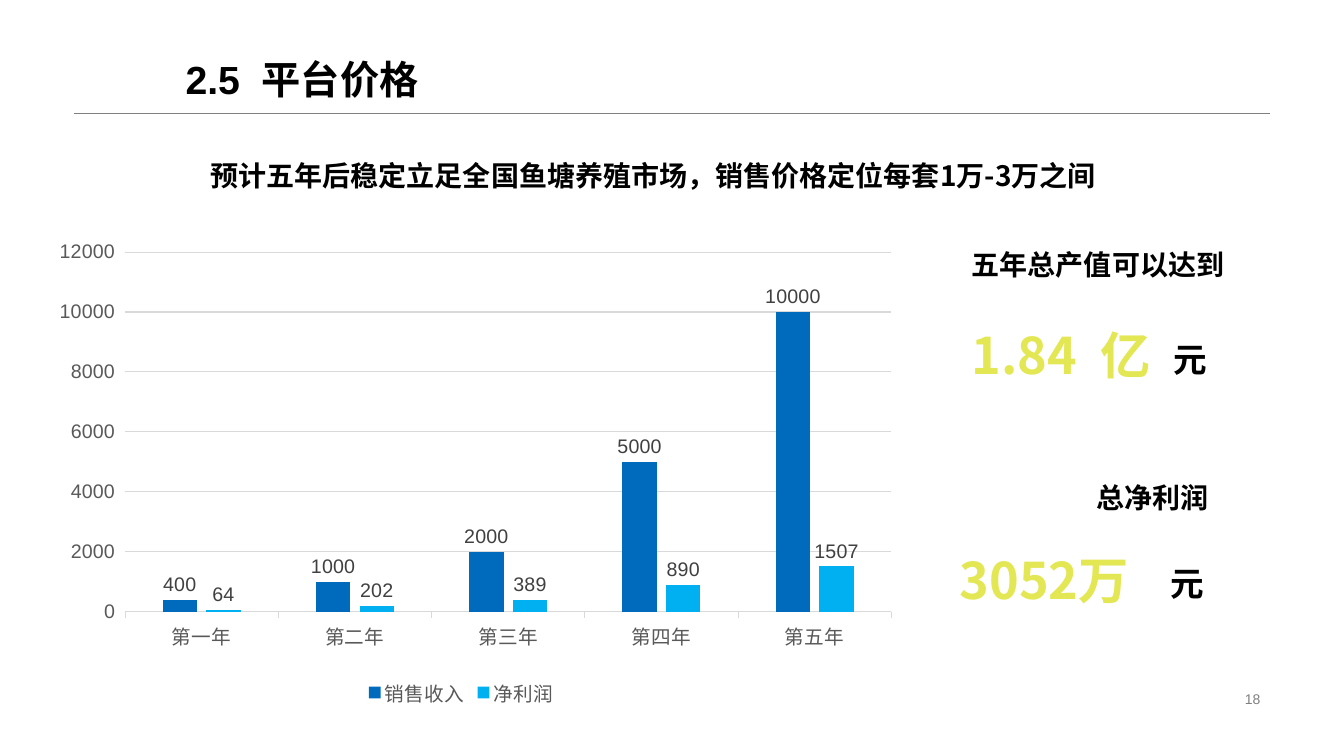
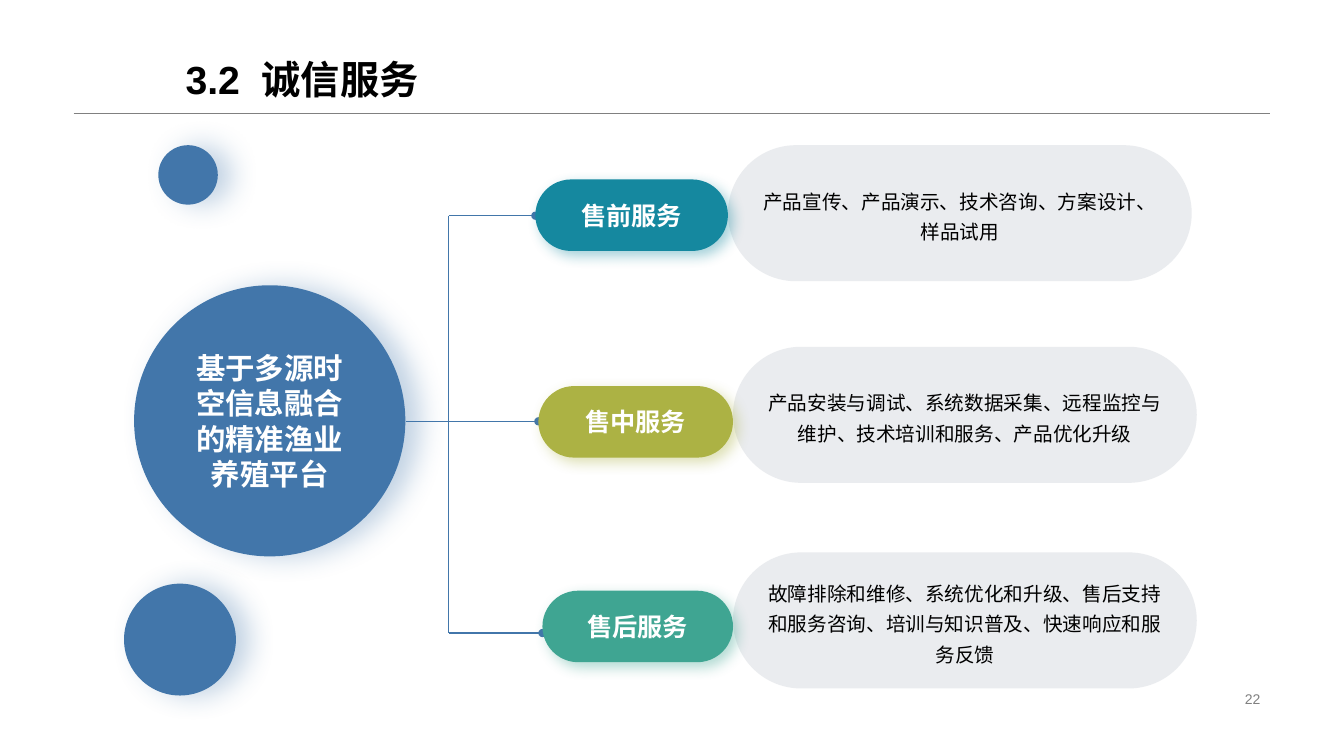
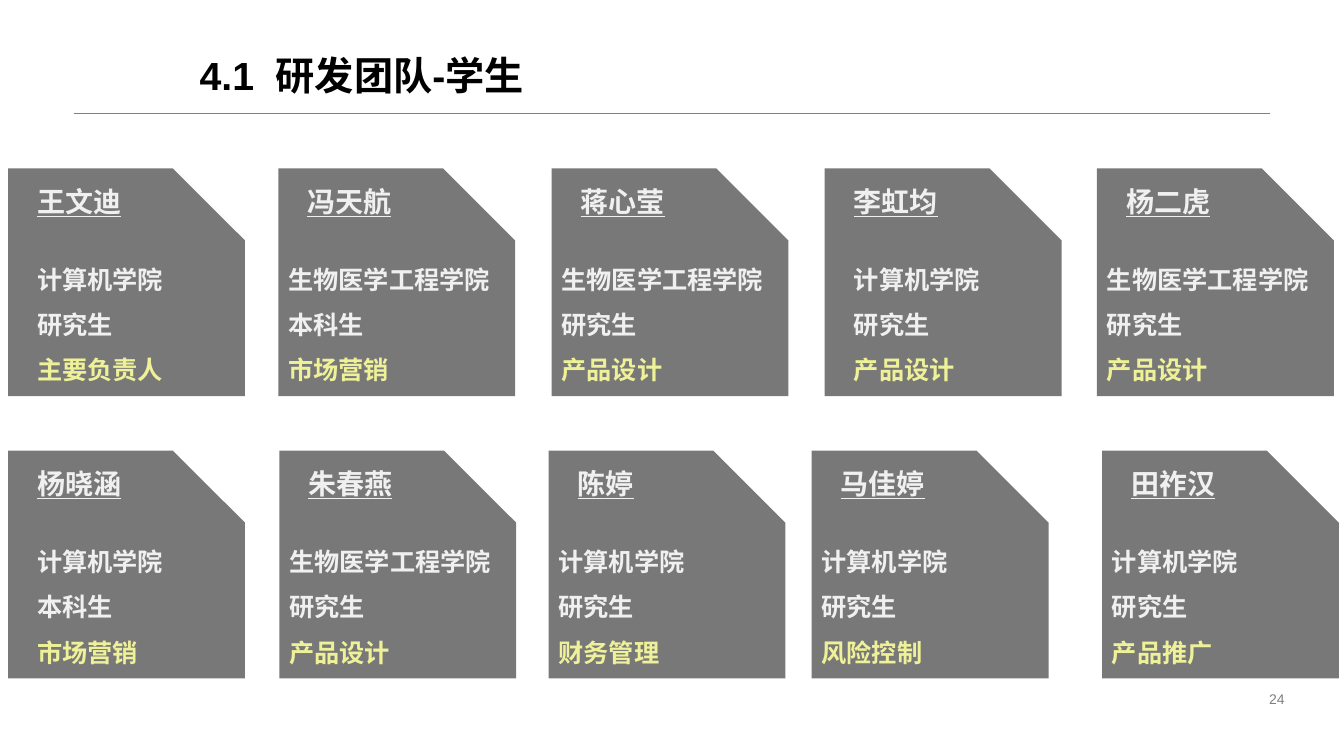
from dataclasses import dataclass
from typing import Optional

from pptx import Presentation
from pptx.chart.data import CategoryChartData
from pptx.dml.color import RGBColor
from pptx.enum.chart import XL_CHART_TYPE as CT, XL_LABEL_POSITION as LP
from pptx.enum.chart import XL_LEGEND_POSITION as LEG, XL_TICK_MARK as TM
from pptx.enum.shapes import MSO_CONNECTOR as CONN, MSO_SHAPE as SHP
from pptx.enum.text import MSO_ANCHOR as ANC, MSO_AUTO_SIZE as AUTO, PP_ALIGN as AL
from pptx.oxml import parse_xml
from pptx.oxml.ns import nsdecls, qn
from pptx.util import Inches, Pt

# Shared colours and fonts
BLACK = RGBColor(0x00, 0x00, 0x00)
WHITE = RGBColor(0xFF, 0xFF, 0xFF)
GREY = RGBColor(0x80, 0x80, 0x80)
AXIS_GREY = RGBColor(0x59, 0x59, 0x59)
LABEL_GREY = RGBColor(0x40, 0x40, 0x40)
GRID_GREY = RGBColor(0xD9, 0xD9, 0xD9)
REVENUE_BLUE = RGBColor(0x00, 0x6B, 0xBC)
PROFIT_BLUE = RGBColor(0x00, 0xB0, 0xF0)
YELLOW = RGBColor(0xE3, 0xE7, 0x53)
BLUE = RGBColor(0x42, 0x76, 0xAA)
TEAL = RGBColor(0x15, 0x88, 0x9F)
OLIVE = RGBColor(0xAC, 0xB2, 0x44)
GREEN = RGBColor(0x3F, 0xA5, 0x92)
SLATE = RGBColor(0x76, 0x83, 0x94)
CARD_GREY = RGBColor(0x78, 0x78, 0x78)
CARD_TEXT = RGBColor(0xF0, 0xF0, 0xF0)
CARD_ROLE = RGBColor(0xEE, 0xF1, 0x98)
ARIAL = "Arial"
NOTO = "Noto Sans CJK SC"


@dataclass
class Style:
    size: float
    color: RGBColor = BLACK
    font: str = NOTO
    bold: bool = True
    underline: bool = False


@dataclass
class Shadow:
    alpha: int
    blur: float
    dist: float
    angle: int


@dataclass
class Note:
    text: str
    left: float
    top: float
    width: float
    height: float
    style: Style
    suffix: str = ""


@dataclass
class Service:
    name: str
    detail: str
    color: RGBColor
    left: float
    top: float
    right: float
    line_y: float
    detail_top: float


@dataclass
class Member:
    left: float
    name: str
    college: str
    degree: str
    role: str
    indent: float = 0


TITLE = Style(28, font=ARIAL)
PAGE = Style(10, GREY, ARIAL, bold=False)
NOTE = Style(20)
UNIT = Style(24)
FIGURE = Style(36, YELLOW)
HUB = Style(21, WHITE, ARIAL)
SERVICE = Style(18, WHITE, ARIAL)
DETAIL = Style(14, BLACK, ARIAL, bold=False)
MEMBER = Style(20, CARD_TEXT, underline=True)
INFO = Style(18, CARD_TEXT)
ROLE = Style(18, CARD_ROLE)
GLOW = Shadow(32, 20, 10, 0)
DROP = Shadow(40, 10, 5, 45)


# Text helpers
def add_run(p, text: str, style: Style, spacing: float = 0) -> None:
    r = p.add_run()
    r.text = text
    f = r.font
    f.size, f.bold, f.name = Pt(style.size), style.bold, style.font
    f.color.rgb = style.color
    if style.underline:
        f.underline = True
    rpr = r._r.get_or_add_rPr()
    rpr.append(parse_xml(f'<a:ea {nsdecls("a")} typeface="{NOTO}"/>'))
    if spacing:
        rpr.set("spc", str(int(spacing * 100)))


def add_pair(p, first: str, second: str, style: Style, gap: float) -> None:
    """Two words with a widened space between them."""
    add_run(p, first, style)
    add_run(p, " ", style, gap)
    add_run(p, second, style)


def add_text(slide, left: float, top: float, width: float, height: float):
    tf = slide.shapes.add_textbox(Inches(left), Inches(top), Inches(width), Inches(height)).text_frame
    tf.word_wrap = True
    return tf


# Shape helpers
def add_shape(slide, kind, left: float, top: float, width: float, height: float, color: RGBColor,
              adj: Optional[float] = None, alpha: int = 100, shadow: Optional[Shadow] = None):
    sp = slide.shapes.add_shape(kind, Inches(left), Inches(top), Inches(width), Inches(height))
    if adj is not None:
        sp.adjustments[0] = adj
    sp.fill.solid()
    sp.fill.fore_color.rgb = color
    sp.line.fill.background()
    sp.shadow.inherit = False
    if alpha < 100:
        clr = next(sp.element.iter(qn("a:srgbClr")))
        clr.append(parse_xml(f'<a:alpha {nsdecls("a")} val="{alpha * 1000}"/>'))
    if shadow:
        next(sp.element.iter(qn("a:effectLst"))).append(parse_xml(
            f'<a:outerShdw {nsdecls("a")} blurRad="{Pt(shadow.blur)}" dist="{Pt(shadow.dist)}" '
            f'dir="{shadow.angle * 60000}" algn="ctr" rotWithShape="0"><a:srgbClr val="{color}">'
            f'<a:alpha val="{shadow.alpha * 1000}"/></a:srgbClr></a:outerShdw>'))
    return sp


def label_shape(sp, text: str, style: Style, spacing: Optional[float] = None) -> None:
    tf = sp.text_frame
    tf.word_wrap = True
    tf.vertical_anchor = ANC.MIDDLE
    p = tf.paragraphs[0]
    p.alignment = AL.CENTER
    if spacing:
        p.line_spacing = spacing
    add_run(p, text, style)


def add_line(slide, x1: float, y1: float, x2: float, y2: float, color: RGBColor,
             width: float, dot: bool = False) -> None:
    cx = slide.shapes.add_connector(CONN.STRAIGHT, Inches(x1), Inches(y1), Inches(x2), Inches(y2))
    cx.line.color.rgb = color
    cx.line.width = Pt(width)
    sppr = cx.element.spPr
    if dot:
        sppr.find(qn("a:ln")).append(parse_xml(f'<a:headEnd {nsdecls("a")} type="oval"/>'))
    sppr.append(parse_xml(f'<a:effectLst {nsdecls("a")}/>'))


# Frame shared by all slides
def add_slide(prs, number: str, name: str, page: str, title_box=(1.74, -0.05, 11.87, 1.12),
              page_left: float = 9.42):
    slide = prs.slides.add_slide(prs.slide_layouts[5])
    add_line(slide, 0.73, 1.12, 12.6, 1.12, GREY, 0.25)
    title = slide.shapes.title
    title.left, title.top, title.width, title.height = map(Inches, title_box)
    tf = title.text_frame
    tf.word_wrap = True
    tf.auto_size = AUTO.NONE
    tf.vertical_anchor = ANC.BOTTOM
    p = tf.paragraphs[0]
    p.alignment = AL.LEFT
    p.line_spacing = 0.9
    add_pair(p, number, name, TITLE, 7.8)
    tf = add_text(slide, page_left, 6.82, 3.18, 0.23)
    tf.vertical_anchor = ANC.MIDDLE
    tf.paragraphs[0].alignment = AL.RIGHT
    add_run(tf.paragraphs[0], page, PAGE)
    return slide


def set_font(font, color: RGBColor) -> None:
    font.size, font.name = Pt(14), ARIAL
    font.color.rgb = color


# Slide: prices
def add_price_chart(slide) -> None:
    data = CategoryChartData()
    data.categories = ["第一年", "第二年", "第三年", "第四年", "第五年"]
    data.add_series("销售收入", (400, 1000, 2000, 5000, 10000))
    data.add_series("净利润", (64, 202, 389, 890, 1507))
    chart = slide.shapes.add_chart(CT.COLUMN_CLUSTERED, Inches(0.3), Inches(2.38),
                                   Inches(8.55), Inches(4.67), data).chart
    set_font(chart.font, BLACK)
    chart.has_title = False
    chart.has_legend = True
    chart.legend.position = LEG.BOTTOM
    chart.legend.include_in_layout = False
    set_font(chart.legend.font, AXIS_GREY)

    cat, val = chart.category_axis, chart.value_axis
    for axis in (cat, val):
        set_font(axis.tick_labels.font, AXIS_GREY)
        axis.major_tick_mark = TM.OUTSIDE
        axis.minor_tick_mark = TM.NONE
    val.minimum_scale, val.maximum_scale, val.major_unit = 0, 12000, 2000
    val.format.line.fill.background()
    for line in (cat.format.line, val.major_gridlines.format.line):
        line.color.rgb = GRID_GREY
        line.width = Pt(0.75)

    plot = chart.plots[0]
    plot.gap_width, plot.overlap = 219, -27
    plot.vary_by_categories = False
    for series, color in zip(plot.series, (REVENUE_BLUE, PROFIT_BLUE)):
        series.format.fill.solid()
        series.format.fill.fore_color.rgb = color
        labels = series.data_labels
        labels.show_value = True
        labels.position = LP.OUTSIDE_END
        set_font(labels.font, LABEL_GREY)

    # Fixed inner plot area
    area = next(chart.element.iter(qn("c:plotArea")))
    for old in area.findall(qn("c:layout")):
        area.remove(old)
    sizes = "".join(f'<c:{k} val="{v}"/>' for k, v in
                    (("x", 0.11), ("y", 0.026), ("w", 0.889), ("h", 0.764)))
    area.insert(0, parse_xml(
        f'<c:layout {nsdecls("c")}><c:manualLayout><c:layoutTarget val="inner"/>'
        f'<c:xMode val="edge"/><c:yMode val="edge"/>{sizes}</c:manualLayout></c:layout>'))


NOTES = [
    Note("总净利润", 10.78, 4.72, 1.53, 0.44, NOTE),
    Note("元", 11.54, 3.31, 0.71, 0.5, UNIT),
    Note("1.84", 9.54, 3.17, 2.11, 0.71, FIGURE, "亿"),
    Note("3052万", 9.42, 5.4, 2.34, 0.71, FIGURE),
    Note("元", 11.51, 5.54, 0.71, 0.5, UNIT),
    Note("预计五年后稳定立足全国鱼塘养殖市场，销售价格定位每套1万-3万之间", 1.99, 1.52, 9.66, 0.44, NOTE),
    Note("五年总产值可以达到", 9.54, 2.41, 2.83, 0.44, NOTE),
]


def build_prices(prs) -> None:
    slide = add_slide(prs, "2.5", "平台价格", "18")
    add_price_chart(slide)
    for n in NOTES:
        p = add_text(slide, n.left, n.top, n.width, n.height).paragraphs[0]
        if n.suffix:
            add_pair(p, n.text, n.suffix, n.style, 8)
        else:
            add_run(p, n.text, n.style)


# Slide: services
SERVICES = [
    Service("售前服务", "产品宣传、产品演示、技术咨询、方案设计、样品试用",
            TEAL, 5.31, 1.78, 7.22, 2.14, 1.44),
    Service("售中服务", "产品安装与调试、系统数据采集、远程监控与维护、技术培训和服务、产品优化升级",
            OLIVE, 5.34, 3.83, 7.27, 4.18, 3.44),
    Service("售后服务", "故障排除和维修、系统优化和升级、售后支持和服务咨询、培训与知识普及、快速响应和服务反馈",
            GREEN, 5.38, 5.86, 7.27, 6.28, 5.48),
]
TRUNK_X = 4.45
HUB_RIGHT = 4.03


def build_services(prs) -> None:
    slide = add_slide(prs, "3.2", "诚信服务", "22")
    # Hub and the two small circles
    hub = add_shape(slide, SHP.OVAL, 1.33, 2.83, 2.69, 2.69, BLUE, shadow=GLOW)
    label_shape(hub, "基于多源时空信息融合的精准渔业养殖平台", HUB)
    for left, top, size in ((1.57, 1.44, 0.59), (1.23, 5.79, 1.11)):
        add_shape(slide, SHP.OVAL, left, top, size, size, BLUE, shadow=GLOW)
    # Trunk and branches
    add_line(slide, TRUNK_X, SERVICES[0].line_y, TRUNK_X, SERVICES[-1].line_y, BLUE, 1)
    for s in SERVICES:
        end = HUB_RIGHT if s is SERVICES[1] else TRUNK_X
        add_line(slide, s.left, s.line_y, end, s.line_y, BLUE, 1, dot=True)
    # Details and names
    for s in SERVICES:
        sp = add_shape(slide, SHP.ROUNDED_RECTANGLE, s.right, s.detail_top, 4.6, 1.35, SLATE, 0.5, alpha=15)
        label_shape(sp, s.detail, DETAIL, 1.3)
    for s in SERVICES:
        sp = add_shape(slide, SHP.ROUNDED_RECTANGLE, s.left, s.top, s.right - s.left, 0.71,
                       s.color, 0.5, shadow=DROP)
        label_shape(sp, s.name, SERVICE)


# Slide: student team
COMPUTING, BIOMED = "计算机学院", "生物医学工程学院"
MASTER, BACHELOR = "研究生", "本科生"
INDENT = 0.19
TEAM = {
    1.67: [
        Member(0.08, "王文迪", COMPUTING, MASTER, "主要负责人", INDENT),
        Member(2.76, "冯天航", BIOMED, BACHELOR, "市场营销"),
        Member(5.47, "蒋心莹", BIOMED, MASTER, "产品设计"),
        Member(8.18, "李虹均", COMPUTING, MASTER, "产品设计", INDENT),
        Member(10.88, "杨二虎", BIOMED, MASTER, "产品设计"),
    ],
    4.47: [
        Member(0.08, "杨晓涵", COMPUTING, BACHELOR, "市场营销", INDENT),
        Member(2.77, "朱春燕", BIOMED, MASTER, "产品设计"),
        Member(5.44, "陈婷", COMPUTING, MASTER, "财务管理"),
        Member(8.05, "马佳婷", COMPUTING, MASTER, "风险控制"),
        Member(10.93, "田祚汉", COMPUTING, MASTER, "产品推广"),
    ],
}


def add_card(slide, m: Member, top: float) -> None:
    add_shape(slide, SHP.SNIP_1_RECTANGLE, m.left, top, 2.35, 2.26, CARD_GREY, 0.317)
    tf = add_text(slide, m.left + INDENT, top + 0.11, 1.29, 0.44)
    add_run(tf.paragraphs[0], m.name, MEMBER)
    tf = add_text(slide, m.left + m.indent, top + 0.75, 2.22, 1.02)
    for i, (text, style) in enumerate(((m.college, INFO), (m.degree, INFO), (m.role, ROLE))):
        p = tf.add_paragraph() if i else tf.paragraphs[0]
        p.line_spacing = 1.5
        add_run(p, text, style)


def build_team(prs) -> None:
    slide = add_slide(prs, "4.1", "研发团队-学生", "24", (1.88, 0.38, 3.56, 0.65), 9.66)
    for top, members in TEAM.items():
        for m in members:
            add_card(slide, m, top)


def main() -> None:
    prs = Presentation()
    prs.slide_width, prs.slide_height = Inches(13.33), Inches(7.5)
    build_prices(prs)
    build_services(prs)
    build_team(prs)
    prs.save("out.pptx")


if __name__ == "__main__":
    main()
